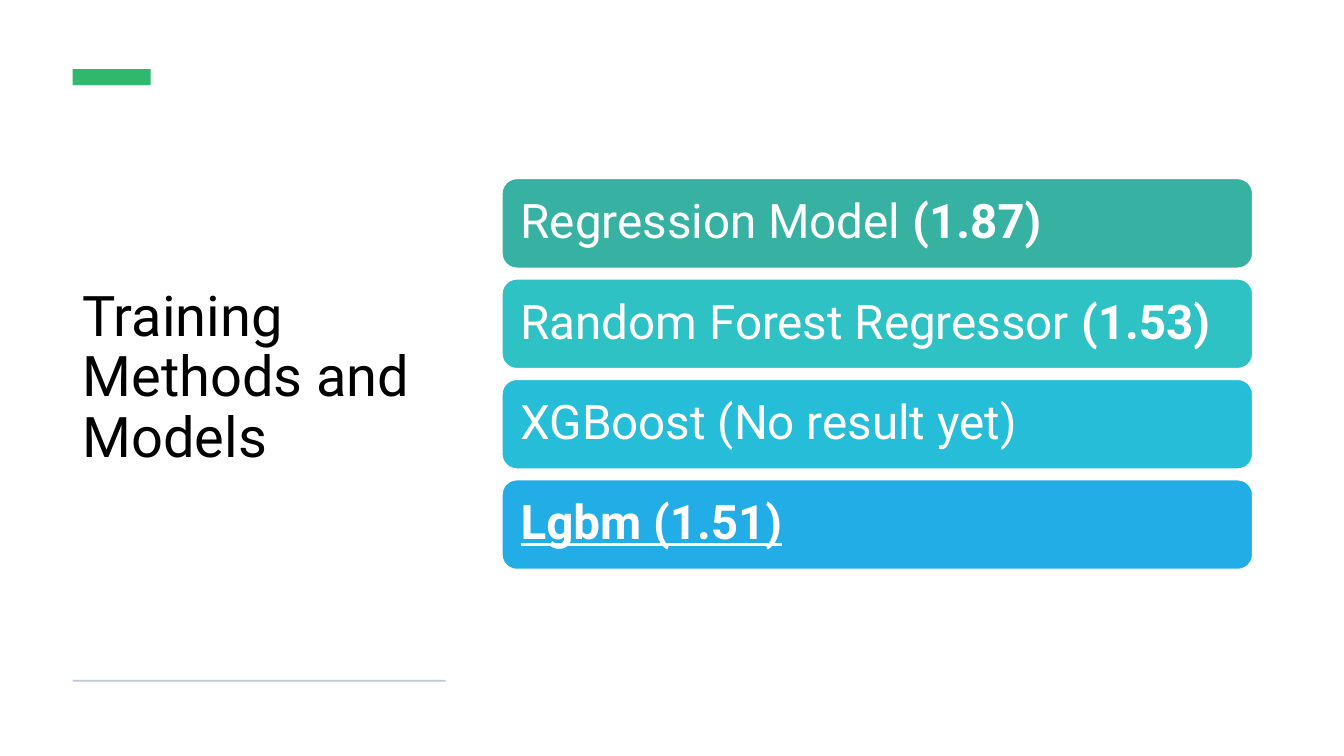
import pptx
import pptx.util
import pptx.dml.color
import pptx.enum.shapes
import pptx.enum.text
from dataclasses import dataclass

TITLE = "Training Methods and Models"
MODELS = [
    ("36B1A2", [("Regression Model ", {}), ("(1.87)", {"bold": True})]),
    ("2EC2C4", [("Random Forest Regressor ", {}), ("(1.53)", {"bold": True})]),
    ("25BDD8", [("XGBoost (No result yet)", {})]),
    ("22ADE6", [("Lgbm (1.51)", {"bold": True, "underline": True})]),
]


@dataclass(frozen=True)
class Theme:
    font: str = "Roboto"
    title_size: int = 40
    model_size: int = 34
    title: str = "000000"
    light: str = "FFFFFF"
    accent: str = "31B86F"
    rule: str = "BDC8DB"


T = Theme()
Cm = pptx.util.Cm
SHAPE = pptx.enum.shapes.MSO_SHAPE
LEFT, COLUMN_W = 1.83, 9.4
CARD_LEFT, CARD_TOP, CARD_W, CARD_H, CARD_STEP = 12.65, 4.5, 18.92, 2.26, 2.53


def rgb(color):
    return pptx.dml.color.RGBColor.from_string(color)


def add_text(p, text, size=T.model_size, color=T.light, bold=False, underline=False):
    p.alignment = pptx.enum.text.PP_ALIGN.LEFT
    p.line_spacing = 0.9
    r = p.add_run()
    r.text = text
    r.font.name = T.font
    r.font.size = pptx.util.Pt(size)
    r.font.color.rgb = rgb(color)
    r.font.bold = bold
    r.font.underline = underline


def add_box(s, kind, left, top, width, height, fill, line=None):
    sp = s.shapes.add_shape(kind, Cm(left), Cm(top), Cm(width), Cm(height))
    sp.shadow.inherit = False
    sp.fill.solid()
    sp.fill.fore_color.rgb = rgb(fill)
    if line:
        sp.line.color.rgb = rgb(line)
        sp.line.width = pptx.util.Pt(1)
    else:
        sp.line.fill.background()
    return sp


def set_frame(tf):
    tf.word_wrap = True
    tf.auto_size = pptx.enum.text.MSO_AUTO_SIZE.NONE
    tf.vertical_anchor = pptx.enum.text.MSO_ANCHOR.MIDDLE


def main():
    prs = pptx.Presentation()
    prs.slide_width, prs.slide_height = Cm(33.87), Cm(19.05)
    s = prs.slides.add_slide(prs.slide_layouts[5])

    title = s.shapes.title
    title.left, title.top = Cm(LEFT), Cm(2.67)
    title.width, title.height = Cm(COLUMN_W), Cm(13.74)
    set_frame(title.text_frame)
    add_text(title.text_frame.paragraphs[0], TITLE, size=T.title_size, color=T.title)

    add_box(s, SHAPE.RECTANGLE, LEFT, 1.74, 1.97, 0.41, T.accent)
    add_box(s, SHAPE.RECTANGLE, LEFT, 17.13, COLUMN_W, 0.05, T.rule)

    for i, (fill, parts) in enumerate(MODELS):
        sp = add_box(s, SHAPE.ROUNDED_RECTANGLE, CARD_LEFT, CARD_TOP + i * CARD_STEP,
                     CARD_W, CARD_H, fill, line=T.light)
        tf = sp.text_frame
        set_frame(tf)
        tf.margin_left = tf.margin_right = Cm(0.36)
        tf.margin_top = tf.margin_bottom = Cm(0.36)
        for text, style in parts:
            add_text(tf.paragraphs[0], text, **style)

    prs.save("out.pptx")


if __name__ == "__main__":
    main()
